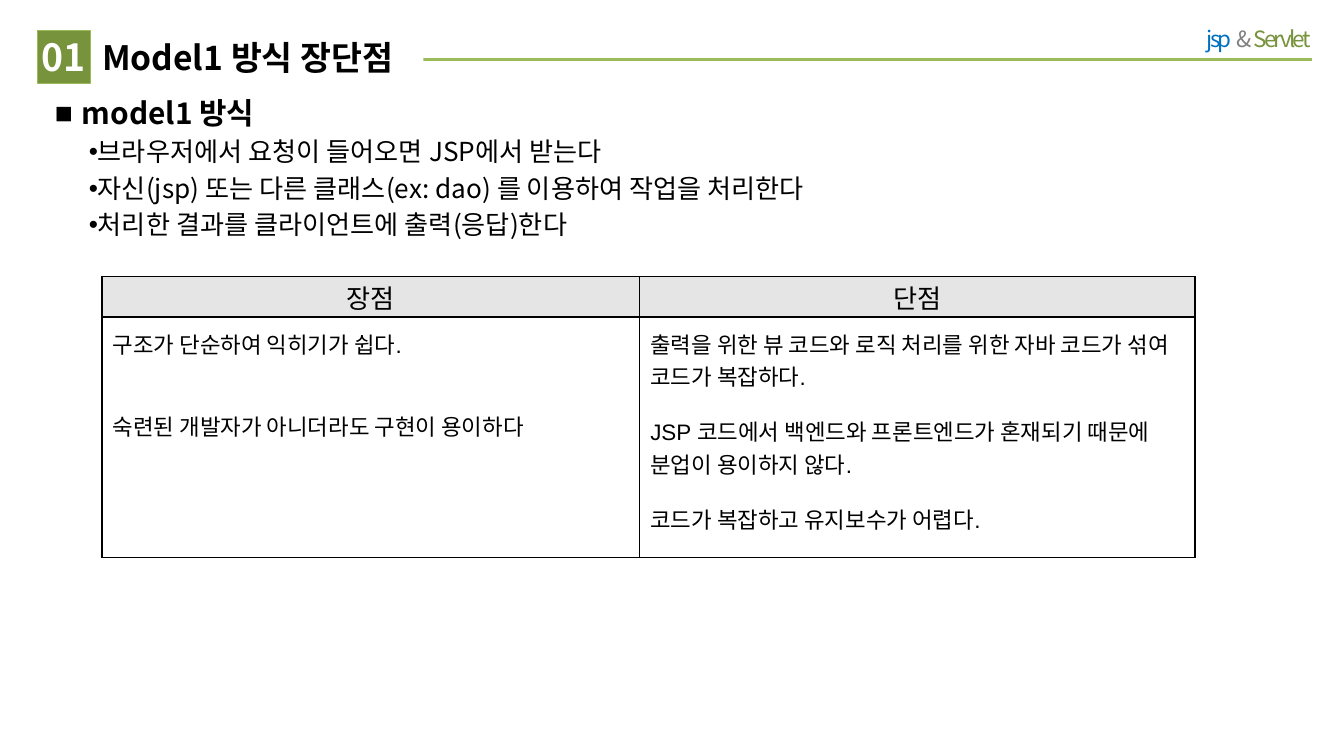
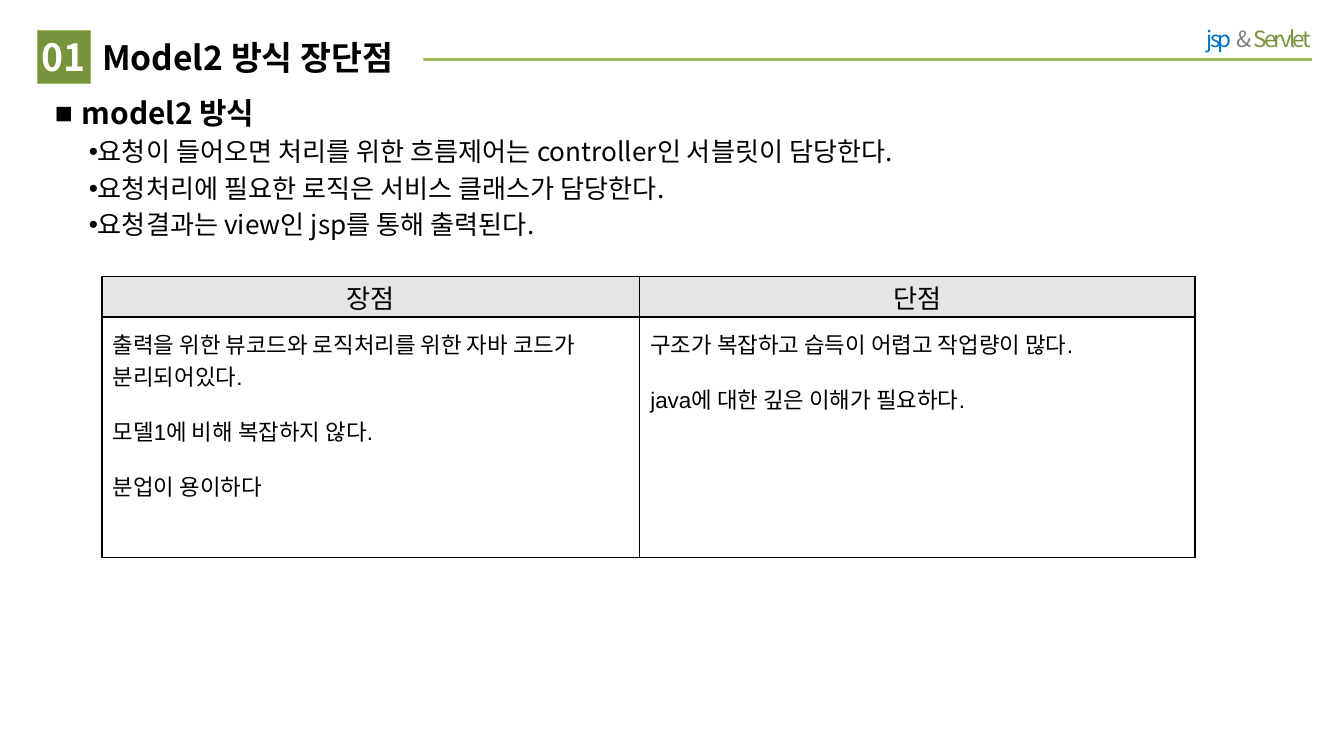
from lxml import etree
from pptx import Presentation, util as u
from pptx.dml.color import RGBColor
from pptx.enum import shapes, text
from pptx.oxml import ns

SLIDES = [
    {
        "title": "Model1 방식 장단점",
        "heading": "model1 방식",
        "points": [
            "브라우저에서 요청이 들어오면 JSP에서 받는다",
            "자신(jsp) 또는 다른 클래스(ex: dao) 를 이용하여 작업을 처리한다",
            "처리한 결과를 클라이언트에 출력(응답)한다",
        ],
        "summary_height": 3.23,
        "pros": ["구조가 단순하여 익히기가 쉽다.\v",
                 "숙련된 개발자가 아니더라도 구현이 용이하다"],
        "cons": [
            "출력을 위한 뷰 코드와 로직 처리를 위한 자바 코드가 섞여 코드가 복잡하다.",
            "JSP 코드에서 백엔드와 프론트엔드가 혼재되기 때문에 분업이 용이하지 않다.",
            "코드가 복잡하고 유지보수가 어렵다.",
        ],
    },
    {
        "title": "Model2 방식 장단점",
        "heading": "model2 방식",
        "points": [
            "요청이 들어오면 처리를 위한 흐름제어는 controller인 서블릿이 담당한다.",
            "요청처리에 필요한 로직은 서비스 클래스가 담당한다.",
            "요청결과는 view인 jsp를 통해 출력된다.",
        ],
        "summary_height": 3.51,
        "pros": ["출력을 위한 뷰코드와 로직처리를 위한 자바 코드가 분리되어있다.",
                 "모델1에 비해 복잡하지 않다.",
                 "분업이 용이하다"],
        "cons": ["구조가 복잡하고 습득이 어렵고 작업량이 많다.",
                 "java에 대한 깊은 이해가 필요하다."],
    },
]
SECTION = "01"
COURSE = [("jsp  ", "0070C0"), ("& ", "808080"), ("Servlet", "77933C")]
TABLE_HEADS = ["장점", "단점"]

KOREAN, LATIN = "Noto Sans CJK KR", "Arial"
BLACK, WHITE, GREY = "000000", "FFFFFF", "E5E5E5"
GREEN, DARK_GREEN = "9BBB59", "77933C"

HEADER_TOP, HEADER_HEIGHT = 0.58, 0.99
COLUMN_WIDTHS, ROW_HEIGHTS = (10.16, 10.49), (0.76, 4.55)
OUTER_BORDER, INNER_BORDER = 1, 0.75

# marker, left margin, first-line indent (cm), size, line height (pt), bold
HEADING = ("■", 0.51, -0.51, 16, 20.4, True)
POINT = ("•", 0.74, -0.1, 14, 19.5, False)


def color(hex_text):
    return RGBColor.from_string(hex_text)


def cm(*lengths):
    return [u.Cm(length) for length in lengths]


def set_all(target, values):
    for name, value in values.items():
        setattr(target, name, value)


def set_margins(target, left, top, right, bottom):
    set_all(target, dict(zip(
        ("margin_left", "margin_top", "margin_right", "margin_bottom"),
        cm(left, top, right, bottom))))


def add_run(paragraph, words, size, hex_text=BLACK, bold=False, face=KOREAN):
    run = paragraph.add_run()
    run.text = words
    set_all(run.font, {"size": u.Pt(size), "bold": bold, "name": face})
    run.font.color.rgb = color(hex_text)
    if face == KOREAN:
        run.font._element.find(ns.qn("a:latin")).addnext(
            etree.Element(ns.qn("a:ea"), typeface=face))
    return run


def paragraphs(frame, count):
    return [frame.paragraphs[0]] + [frame.add_paragraph() for _ in range(count - 1)]


def add_header(slide, title_text):
    rule = slide.shapes.add_connector(
        shapes.MSO_CONNECTOR.STRAIGHT, *cm(24.79, 1.12, 1.8, 1.12))
    rule.line.color.rgb = color(GREEN)
    rule.line.width = u.Pt(1.5)
    etree.SubElement(rule.element.spPr, ns.qn("a:effectLst"))

    course = slide.shapes.add_textbox(*cm(21.11, 0.28, 3.91, 0.91))
    set_margins(course.text_frame, 0.25, 0.2, 0.25, 0.2)
    course.text_frame.word_wrap = True
    course_line = course.text_frame.paragraphs[0]
    course_line.alignment = text.PP_ALIGN.RIGHT
    for words, hex_text in COURSE:
        run = add_run(course_line, words, 12, hex_text)
        run.font._element.set("spc", "-150")

    title = slide.shapes.title
    set_all(title, dict(zip(("left", "top", "width", "height"),
                            cm(1.73, HEADER_TOP, 6.27, HEADER_HEIGHT))))
    title.fill.solid()
    title.fill.fore_color.rgb = color(WHITE)
    set_margins(title.text_frame, 0.2, 0.1, 0, 0.1)
    set_all(title.text_frame, {"vertical_anchor": text.MSO_ANCHOR.MIDDLE,
                               "word_wrap": True,
                               "auto_size": text.MSO_AUTO_SIZE.NONE})
    title_line = title.text_frame.paragraphs[0]
    title_line.alignment = text.PP_ALIGN.LEFT
    add_run(title_line, title_text, 18, bold=True)
    # The title's white fill hides the left part of the rule.
    title.element.addprevious(rule.element)

    badge = slide.shapes.add_shape(
        shapes.MSO_SHAPE.RECTANGLE,
        *cm(0.71, HEADER_TOP, HEADER_HEIGHT, HEADER_HEIGHT))
    badge.shadow.inherit = False
    badge.fill.solid()
    badge.fill.fore_color.rgb = color(DARK_GREEN)
    badge.line.color.rgb = color(GREEN)
    badge.line.width = u.Pt(0.25)
    set_margins(badge.text_frame, 0, 0, 0, 0)
    badge.text_frame.vertical_anchor = text.MSO_ANCHOR.MIDDLE
    badge_line = badge.text_frame.paragraphs[0]
    badge_line.alignment = text.PP_ALIGN.CENTER
    add_run(badge_line, SECTION, 20, WHITE, True)


def add_summary(slide, heading, points, height):
    summary = slide.shapes.add_textbox(*cm(0.79, 1.63, 22.2, height))
    summary.text_frame.word_wrap = True
    entries = [(heading, HEADING)] + [(point, POINT) for point in points]
    lines = paragraphs(summary.text_frame, len(entries))
    for line, (words, style) in zip(lines, entries):
        marker, margin, indent, size, line_height, bold = style
        line.line_spacing = u.Pt(line_height)
        props = line._p.get_or_add_pPr()
        props.set("marL", str(u.Cm(margin)))
        props.set("indent", str(u.Cm(indent)))
        etree.SubElement(props, ns.qn("a:buFont"), typeface=LATIN)
        etree.SubElement(props, ns.qn("a:buChar"), char=marker)
        add_run(line, words, size, bold=bold)


def add_borders(cell, outer_sides):
    props = cell._tc.get_or_add_tcPr()
    for side in "LRTB":
        width = OUTER_BORDER if side in outer_sides else INNER_BORDER
        border = etree.SubElement(props, ns.qn(f"a:ln{side}"), w=str(u.Pt(width)))
        fill = etree.SubElement(border, ns.qn("a:solidFill"))
        etree.SubElement(fill, ns.qn("a:srgbClr"), val=BLACK)


def add_comparison(slide, pros, cons):
    table = slide.shapes.add_table(
        2, 2, *cm(1.93, 5.23, sum(COLUMN_WIDTHS), sum(ROW_HEIGHTS))).table
    set_all(table, {"first_row": False, "horz_banding": False})
    for column, width in zip(table.columns, COLUMN_WIDTHS):
        column.width = u.Cm(width)
    for row, height in zip(table.rows, ROW_HEIGHTS):
        row.height = u.Cm(height)

    for col, (head, reasons) in enumerate(zip(TABLE_HEADS, (pros, cons))):
        head_cell, reason_cell = table.cell(0, col), table.cell(1, col)
        add_borders(head_cell, "T" + "LR"[col])
        add_borders(reason_cell, "B" + "LR"[col])

        head_cell.fill.solid()
        head_cell.fill.fore_color.rgb = color(GREY)
        head_cell.vertical_anchor = text.MSO_ANCHOR.MIDDLE
        set_margins(head_cell, 0, 0, 0, 0)
        head_line = head_cell.text_frame.paragraphs[0]
        head_line.alignment = text.PP_ALIGN.CENTER
        add_run(head_line, head, 14, face=LATIN)

        reason_cell.fill.background()
        set_margins(reason_cell, 0.2, 0.2, 0.2, 0.2)
        lines = paragraphs(reason_cell.text_frame, len(reasons))
        for line, reason in zip(lines, reasons):
            line.space_before = u.Pt(12)
            add_run(line, reason.rstrip("\v"), 12, face=LATIN)
            if reason.endswith("\v"):
                line.add_line_break()
                line.font.size = u.Pt(12)


def main():
    deck = Presentation()
    deck.slide_width, deck.slide_height = cm(25.4, 14.29)
    title_only = deck.slide_layouts[5]
    for content in SLIDES:
        slide = deck.slides.add_slide(title_only)
        add_header(slide, content["title"])
        add_summary(slide, content["heading"], content["points"],
                    content["summary_height"])
        add_comparison(slide, content["pros"], content["cons"])
    deck.save("out.pptx")


if __name__ == "__main__":
    main()
